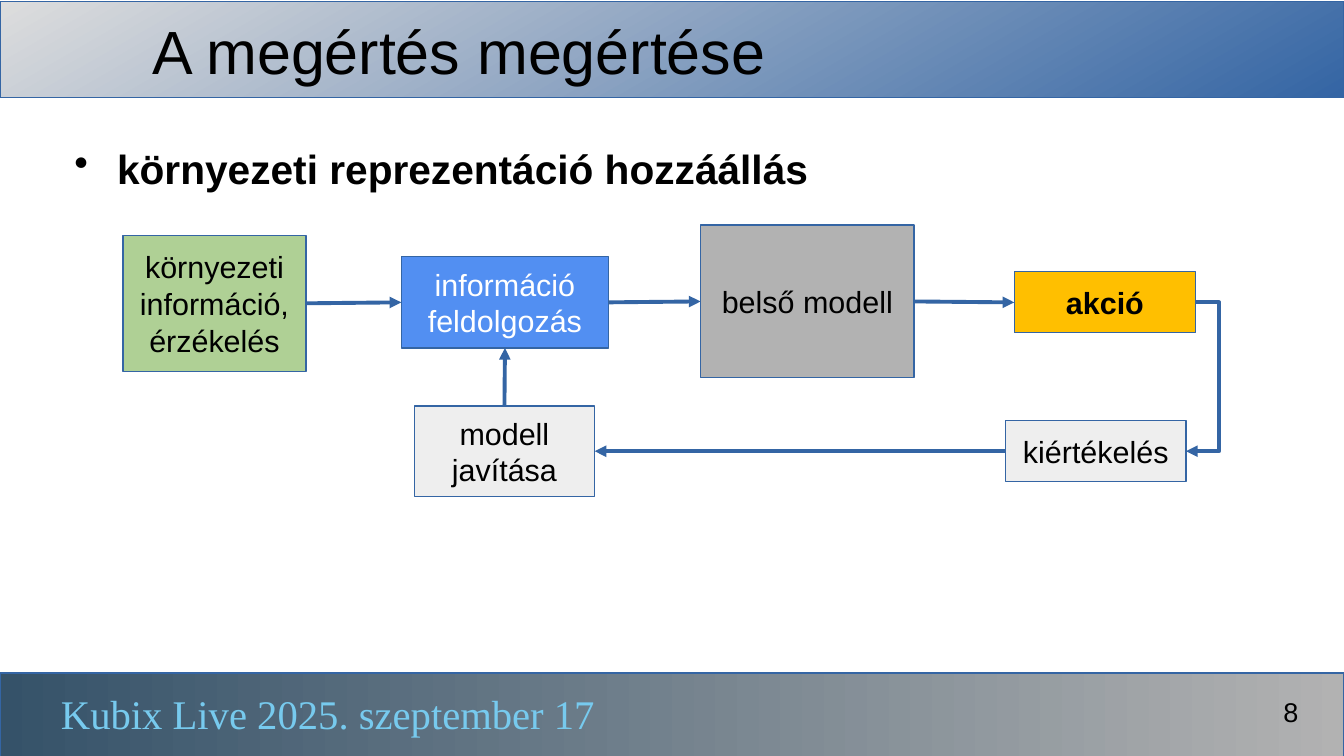
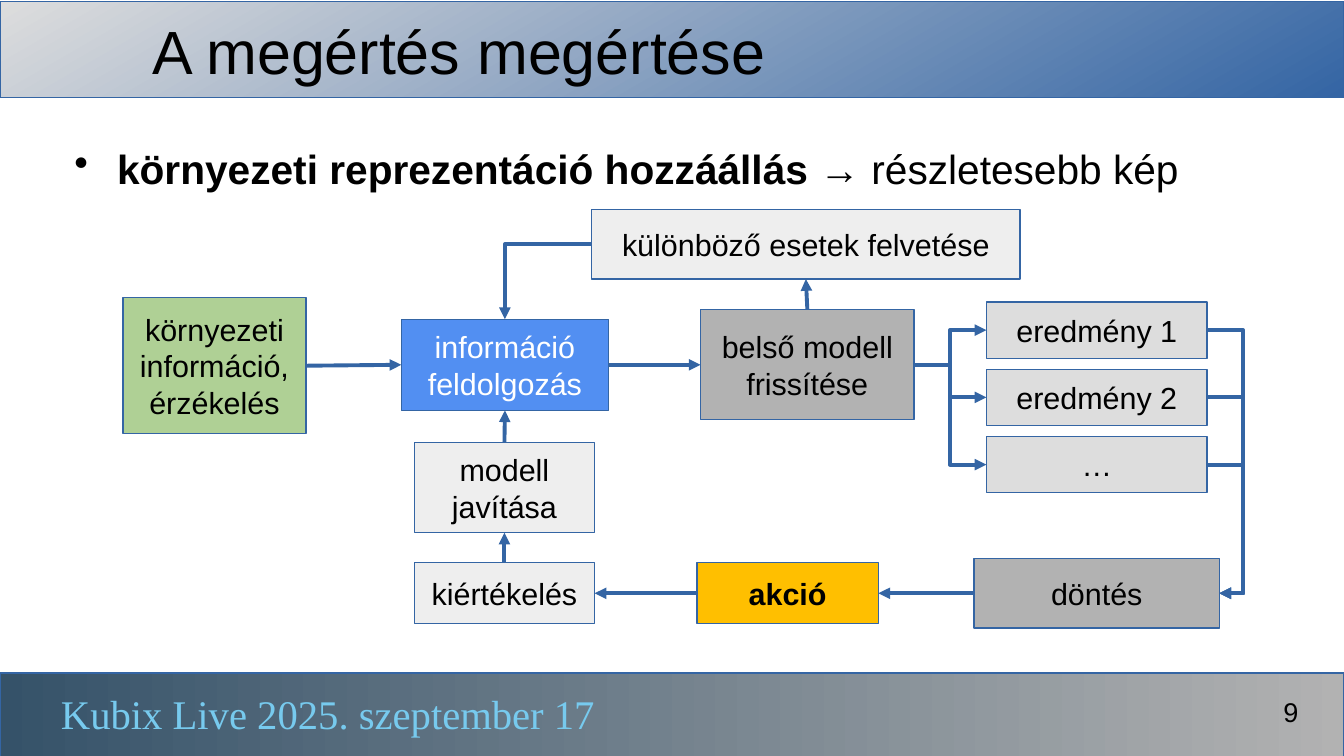
from lxml import etree
from pptx import Presentation
from pptx.dml.color import RGBColor
from pptx.enum.shapes import MSO_CONNECTOR, MSO_SHAPE
from pptx.enum.text import MSO_ANCHOR, MSO_AUTO_SIZE, PP_ALIGN
from pptx.oxml.ns import qn
from pptx.util import Cm, Pt

RECTANGLE = MSO_SHAPE.RECTANGLE
STRAIGHT, ELBOW = MSO_CONNECTOR.STRAIGHT, MSO_CONNECTOR.ELBOW
LEFT, CENTER, RIGHT = PP_ALIGN.LEFT, PP_ALIGN.CENTER, PP_ALIGN.RIGHT
TOP, MIDDLE = MSO_ANCHOR.TOP, MSO_ANCHOR.MIDDLE
NO_FIT = MSO_AUTO_SIZE.NONE

BLACK = RGBColor(0x00, 0x00, 0x00)
WHITE = RGBColor(0xFF, 0xFF, 0xFF)
BLUE = RGBColor(0x34, 0x65, 0xA4)
BRIGHT_BLUE = RGBColor(0x52, 0x8F, 0xF2)
SKY = RGBColor(0x77, 0xCA, 0xEE)
SLATE = RGBColor(0x35, 0x52, 0x69)
GREEN = RGBColor(0xAF, 0xD0, 0x95)
AMBER = RGBColor(0xFF, 0xBF, 0x00)
PALE = RGBColor(0xEE, 0xEE, 0xEE)
LIGHT = RGBColor(0xDD, 0xDD, 0xDD)
GREY = RGBColor(0xB2, 0xB2, 0xB2)

WIDTH, HEIGHT = 28, 15.75
TITLE_ONLY = 5

# Connection sites of a rectangle
SITE_TOP, SITE_LEFT, SITE_BOTTOM, SITE_RIGHT = range(4)

# Text styles
TITLE = {"name": "Arial", "size": Pt(36), "bold": False, "color": BLACK}
HEADING = {"name": "Arial", "size": Pt(24), "bold": True, "color": BLACK}
DETAIL = {**HEADING, "bold": False}
LABEL = {"name": "Arial", "size": Pt(18), "bold": False, "color": BLACK}
LABEL_WHITE = {**LABEL, "color": WHITE}
LABEL_BOLD = {**LABEL, "bold": True}
NUMBER = {**LABEL, "size": Pt(16)}
FOOTER = {"name": "Times New Roman", "size": Pt(24), "bold": False, "color": SKY}


def apply_format(target, values):
    for name, value in values.items():
        if name == "color":
            target.color.rgb = value
        else:
            setattr(target, name, value)


class FlowDeck:
    def __init__(self):
        self.deck = Presentation()
        self.deck.slide_width, self.deck.slide_height = Cm(WIDTH), Cm(HEIGHT)
        self.page = None

    def start_page(self, title, number):
        first = self.page is None
        self.page = self.deck.slides.add_slide(self.deck.slide_layouts[TITLE_ONLY])
        if first:
            self.band(0.03, 2, (LIGHT, BLUE), 300)
            self.band(14.02, 1.74, (GREY, SLATE), 180)
        box = self.page.shapes.title
        apply_format(box, {"left": Cm(3.17), "top": Cm(0.33),
                           "width": Cm(23.93), "height": Cm(1.42)})
        self.fill_text(box, [[(title, TITLE)]], LEFT, MIDDLE)
        self.text(1.27, 14.35, 17.17, 1.1,
                  [("Kubix Live 2025. szeptember 17", FOOTER)])
        self.text(23, 14.48, 4.05, 0.7, [(str(number), NUMBER)], RIGHT)

    def band(self, top, height, colors, angle):
        """Draw a gradient band and move it to the slide master."""
        box = self.page.shapes.add_shape(RECTANGLE, 0, Cm(top), Cm(WIDTH), Cm(height))
        box.fill.gradient()
        box.fill.gradient_angle = angle
        for stop, color in zip(box.fill.gradient_stops, colors):
            stop.color.rgb = color
        self.outline(box)
        self.deck.slide_master.shapes.element.insert(2, box.element)

    def outline(self, box):
        box.shadow.inherit = False
        box.line.color.rgb = BLUE
        box.line.width = Pt(0)

    def fill_text(self, box, paragraphs, align, anchor, margin=0):
        frame = box.text_frame
        apply_format(frame, {"word_wrap": True, "auto_size": NO_FIT,
                             "vertical_anchor": anchor,
                             "margin_left": margin, "margin_right": margin,
                             "margin_top": 0, "margin_bottom": 0})
        for index, spans in enumerate(paragraphs):
            para = frame.add_paragraph() if index else frame.paragraphs[0]
            para.alignment = align
            for words, style in spans:
                span = para.add_run()
                span.text = words
                apply_format(span.font, style)

    def text(self, left, top, width, height, spans, align=LEFT):
        box = self.page.shapes.add_textbox(Cm(left), Cm(top), Cm(width), Cm(height))
        self.fill_text(box, [spans], align, TOP)
        return box

    def bullet(self, *spans):
        box = self.text(1.25, 3, 25.2, 1.05, spans)
        properties = box.text_frame.paragraphs[0]._p.get_or_add_pPr()
        properties.set("marL", str(Cm(1.19)))
        properties.set("indent", str(-Cm(0.89)))
        etree.SubElement(properties, qn("a:buChar")).set("char", "•")

    def node(self, lines, x, y, width, height, color, style=LABEL):
        """Draw a labelled rectangle centred on x, y."""
        box = self.page.shapes.add_shape(
            RECTANGLE, Cm(x - width / 2), Cm(y - height / 2), Cm(width), Cm(height))
        box.fill.solid()
        box.fill.fore_color.rgb = color
        self.outline(box)
        self.fill_text(box, [[(line, style)] for line in lines], CENTER, MIDDLE, Cm(0.25))
        return box

    def arrow(self, source, start, target, end, bend=None, corner=False):
        """Join two nodes; bend is the x of the middle leg, corner a single turn."""
        kind = ELBOW if corner or bend else STRAIGHT
        line = self.page.shapes.add_connector(kind, 0, 0, 0, 0)
        line.begin_connect(source, start)
        line.end_connect(target, end)
        line.line.color.rgb = BLUE
        line.line.width = Pt(2.3)
        properties = line.element.spPr
        etree.SubElement(properties.find(qn("a:ln")), qn("a:tailEnd")).set("type", "triangle")
        etree.SubElement(properties, qn("a:effectLst"))
        geometry = properties.find(qn("a:prstGeom"))
        if corner:
            geometry.set("prst", "bentConnector2")
        elif bend:
            ratio = (Cm(bend) - line.begin_x) / (line.end_x - line.begin_x)
            guide = etree.SubElement(geometry.find(qn("a:avLst")), qn("a:gd"))
            guide.set("name", "adj1")
            guide.set("fmla", f"val {round(ratio * 100000)}")

    # Nodes that appear on both pages
    def senses(self, y):
        return self.node(["környezeti információ,", "érzékelés"], 4.47, y, 3.81, 2.84, GREEN)

    def processing(self, y):
        return self.node(["információ", "feldolgozás"], 10.52, y, 4.32, 1.9,
                         BRIGHT_BLUE, LABEL_WHITE)

    def model(self, lines, y, height):
        return self.node(lines, 16.82, y, 4.45, height, GREY)

    def action(self, x, y):
        return self.node(["akció"], x, y, 3.78, 1.27, AMBER, LABEL_BOLD)

    def evaluation(self, x, y):
        return self.node(["kiértékelés"], x, y, 3.76, 1.27, PALE)

    def correction(self, y):
        return self.node(["modell javítása"], 10.51, y, 3.76, 1.88, PALE)


def build_simple_loop(flow):
    flow.start_page("A megértés megértése", 8)
    flow.bullet(("környezeti reprezentáció hozzáállás", HEADING))
    upper, lower = 6.3, 9.4
    senses = flow.senses(upper + 0.02)
    processing = flow.processing(upper)
    model = flow.model(["belső modell"], upper - 0.02, 3.18)
    action = flow.action(23.02, upper)
    evaluation = flow.evaluation(22.83, lower)
    correction = flow.correction(lower)

    chain = [senses, processing, model, action]
    for source, target in zip(chain, chain[1:]):
        flow.arrow(source, SITE_RIGHT, target, SITE_LEFT)
    flow.arrow(action, SITE_RIGHT, evaluation, SITE_RIGHT, bend=25.4)
    flow.arrow(evaluation, SITE_LEFT, correction, SITE_RIGHT)
    flow.arrow(correction, SITE_TOP, processing, SITE_BOTTOM)


def build_detailed_loop(flow):
    flow.start_page("A megértés megértése", 9)
    flow.bullet(("környezeti reprezentáció hozzáállás", HEADING),
                (" → részletesebb kép", DETAIL))
    upper, lower = 7.6, 12.36
    senses = flow.senses(upper + 0.02)
    processing = flow.processing(upper)
    model = flow.model(["belső modell", "frissítése"], upper, 2.29)
    cases = flow.node(["különböző esetek felvetése"], 16.79, 5.09, 8.92, 1.45, PALE)
    decision = flow.node(["döntés"], 22.85, lower, 5.11, 1.45, GREY)
    action = flow.action(16.41, lower)
    evaluation = flow.evaluation(10.51, lower)
    correction = flow.correction(10.16)

    # Main chain and feedback
    for source, target in ((senses, processing), (processing, model)):
        flow.arrow(source, SITE_RIGHT, target, SITE_LEFT)
    for source, target in ((decision, action), (action, evaluation)):
        flow.arrow(source, SITE_LEFT, target, SITE_RIGHT)
    for source, target in ((evaluation, correction), (correction, processing), (model, cases)):
        flow.arrow(source, SITE_TOP, target, SITE_BOTTOM)
    flow.arrow(cases, SITE_LEFT, processing, SITE_TOP, corner=True)

    # Results fan out from the model and meet at the decision
    for index, label in enumerate(("eredmény 1", "eredmény 2", "…")):
        result = flow.node([label], 22.85, 6.88 + 1.4 * index, 4.6, 1.17, LIGHT)
        flow.arrow(model, SITE_RIGHT, result, SITE_LEFT, bend=19.79)
        flow.arrow(result, SITE_RIGHT, decision, SITE_RIGHT, bend=25.9)


def main():
    flow = FlowDeck()
    build_simple_loop(flow)
    build_detailed_loop(flow)
    flow.deck.save("out.pptx")


if __name__ == "__main__":
    main()
